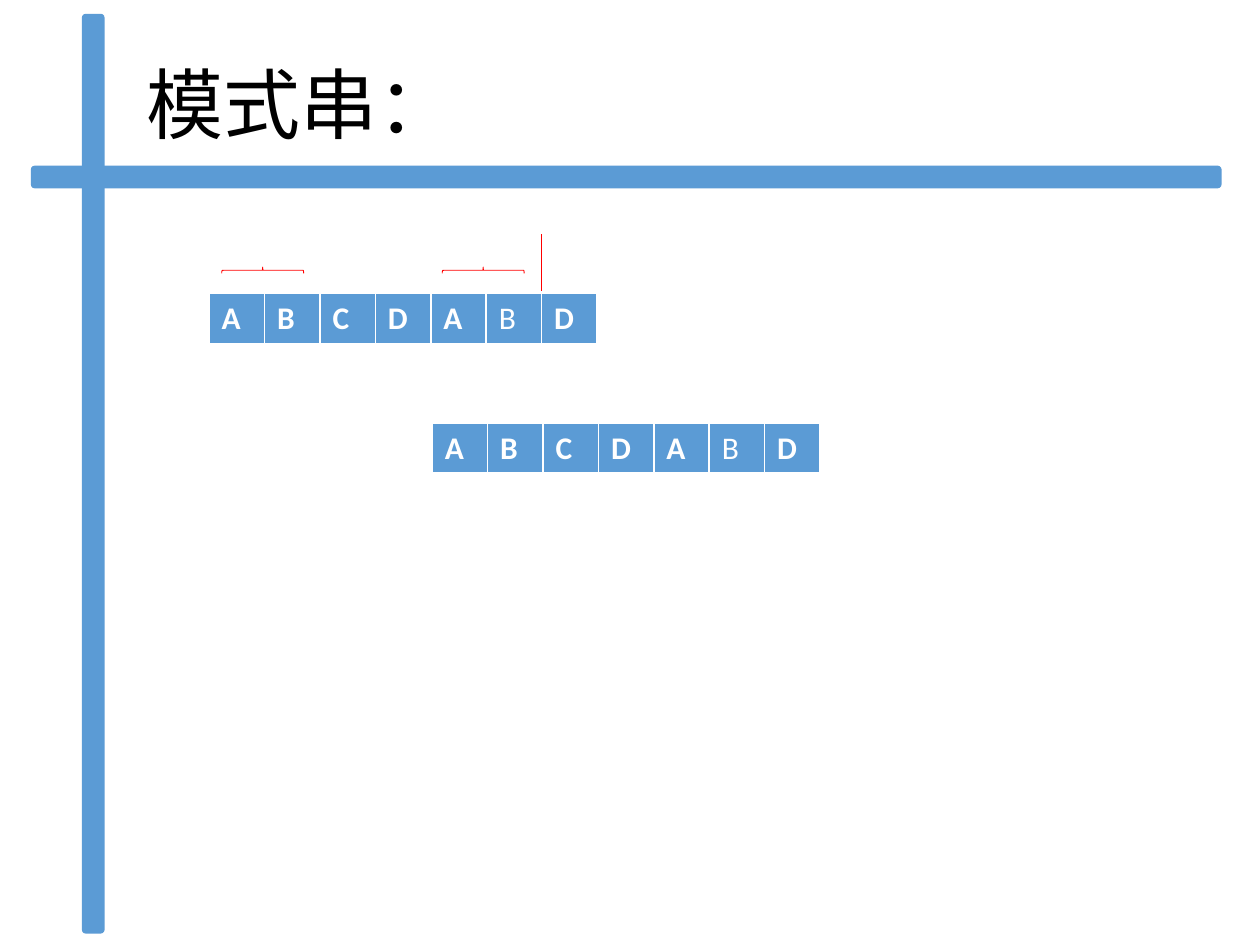
from lxml.etree import SubElement
from pptx import Presentation
from pptx.dml.color import RGBColor
from pptx.enum.shapes import MSO_CONNECTOR as Connector, MSO_SHAPE as Shape
from pptx.enum.text import MSO_ANCHOR as Anchor, MSO_AUTO_SIZE as AutoSize, PP_ALIGN as Align
from pptx.oxml.ns import qn
from pptx.util import Inches, Pt

BLUE, WHITE, BLACK, RED = "5B9BD5", "FFFFFF", "000000", "FF0000"
PATTERN = "ABCDABD"
PLAIN_INDEX = 5
CELL_WIDTH = 0.44


def colour(value):
    return RGBColor.from_string(value)


def style_text(para, size, shade, bold=False):
    for span in para.runs:
        span.font.name = "Calibri"
        span.font.size = Pt(size)
        span.font.bold = bold
        span.font.color.rgb = colour(shade)


def add_title(page, text, left, top, width, height):
    title = page.shapes.title
    title.left, title.top = Inches(left), Inches(top)
    title.width, title.height = Inches(width), Inches(height)
    frame = title.text_frame
    frame.text = text
    frame.auto_size = AutoSize.NONE
    frame.vertical_anchor = Anchor.BOTTOM
    para = frame.paragraphs[0]
    para.alignment = Align.LEFT
    para.line_spacing = 0.9
    style_text(para, 44, BLACK)


def add_plain_shape(page, kind, left, top, width, height, rotation=0):
    shape = page.shapes.add_shape(
        kind, Inches(left), Inches(top), Inches(width), Inches(height))
    shape.rotation = rotation
    shape.shadow.inherit = False
    return shape


def add_bar(page, left, top, width, height, rotation=0):
    bar = add_plain_shape(page, Shape.ROUNDED_RECTANGLE, left, top, width, height, rotation)
    bar.fill.solid()
    bar.fill.fore_color.rgb = colour(BLUE)
    bar.line.fill.background()


def add_brace(page, left, top, width, height):
    brace = add_plain_shape(page, Shape.LEFT_BRACE, left, top, width, height, 90)
    brace.fill.background()
    brace.line.color.rgb = colour(RED)
    brace.line.width = Pt(0.5)


def add_marker(page, left, top, height):
    marker = page.shapes.add_connector(
        Connector.STRAIGHT, Inches(left), Inches(top), Inches(left), Inches(top + height))
    marker.line.color.rgb = colour(RED)
    marker.line.width = Pt(0.5)
    SubElement(marker.line._get_or_add_ln().getparent(), qn("a:effectLst"))


def set_borders(cell):
    properties = cell._tc.get_or_add_tcPr()
    for index, (side, width) in enumerate((("L", 1), ("R", 1), ("T", 1), ("B", 3))):
        border = properties.makeelement(qn(f"a:ln{side}"), {"w": str(Pt(width))})
        fill = SubElement(border, qn("a:solidFill"))
        SubElement(fill, qn("a:srgbClr"), val=WHITE)
        properties.insert(index, border)


def add_pattern(page, left, top, height):
    table = page.shapes.add_table(
        1, len(PATTERN), Inches(left), Inches(top),
        Inches(CELL_WIDTH * len(PATTERN)), Inches(height)).table
    for index, letter in enumerate(PATTERN):
        table.columns[index].width = Inches(CELL_WIDTH)
        cell = table.cell(0, index)
        cell.text = letter
        cell.fill.solid()
        cell.fill.fore_color.rgb = colour(BLUE)
        set_borders(cell)
        style_text(cell.text_frame.paragraphs[0], 18, WHITE, index != PLAIN_INDEX)


def build_slide(deck):
    page = deck.slides.add_slide(deck.slide_layouts[0])
    subtitle = page.placeholders[1].element
    subtitle.getparent().remove(subtitle)
    add_title(page, "模式串：", 1.06, 0.11, 7.01, 1.13)
    add_bar(page, 0.65, 0.11, 0.18, 7.3)
    add_bar(page, 4.88, -3.32, 0.18, 9.45, 90)
    add_pattern(page, 1.66, 2.33, 0.41)
    add_pattern(page, 3.43, 3.36, 0.4)
    for left in (2.06, 3.81):
        add_brace(page, left, 1.82, 0.05, 0.65)
    add_marker(page, 4.3, 1.86, 0.45)


deck = Presentation()
deck.slide_width, deck.slide_height = Inches(10), Inches(7.5)
build_slide(deck)
deck.save("out.pptx")
